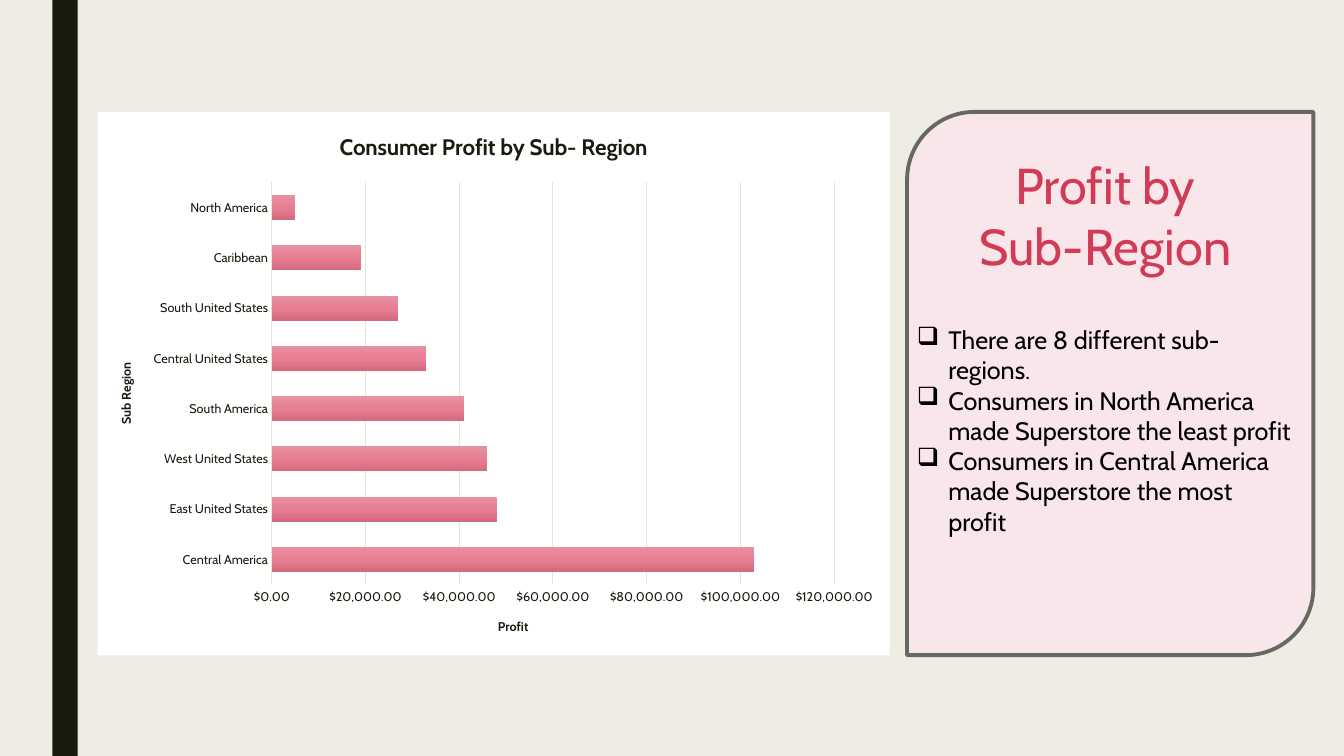
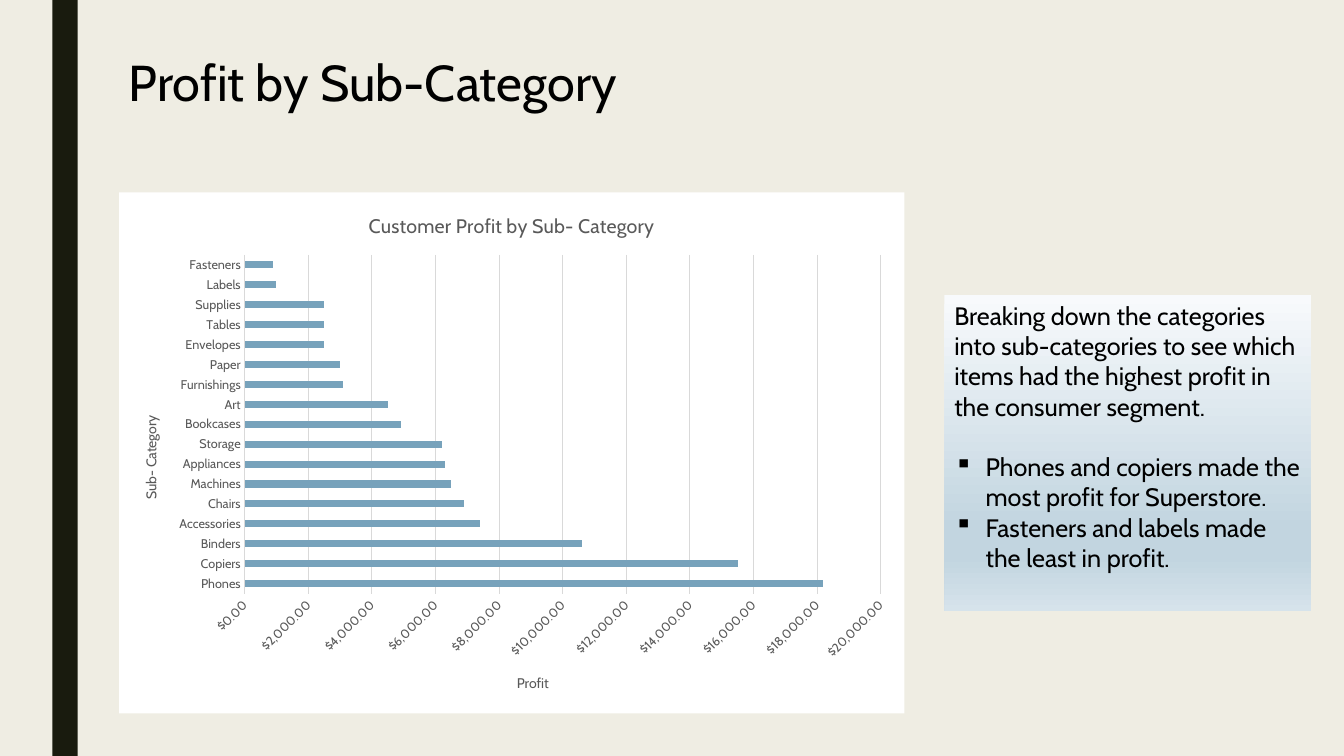
from lxml import etree
from pptx import Presentation
from pptx.chart.data import CategoryChartData
from pptx.dml.color import RGBColor
from pptx.enum.chart import XL_CHART_TYPE, XL_TICK_MARK
from pptx.enum.shapes import MSO_SHAPE
from pptx.enum.text import MSO_ANCHOR, PP_ALIGN
from pptx.oxml import parse_xml
from pptx.oxml.ns import nsdecls, qn
from pptx.util import Cm, Pt

# Shared style
FONT = "Cabin"
BACKGROUND = RGBColor(0xEF, 0xED, 0xE3)
DARK = RGBColor(0x19, 0x1B, 0x0E)
BLACK = RGBColor(0x00, 0x00, 0x00)
WHITE = RGBColor(0xFF, 0xFF, 0xFF)
ROSE = RGBColor(0xD1, 0x3B, 0x56)
PALE_ROSE = RGBColor(0xF9, 0xE6, 0xEA)
CARD_LINE = RGBColor(0x68, 0x68, 0x63)
SAND = RGBColor(0xE4, 0xE7, 0xD1)
GREY = RGBColor(0x59, 0x59, 0x59)
LIGHT_GREY = RGBColor(0xD9, 0xD9, 0xD9)
BLUE = RGBColor(0x77, 0xA2, 0xBB)
ROSE_STOPS = [(0, RGBColor(0xE6, 0x92, 0xA1)), (50, RGBColor(0xE7, 0x7E, 0x91)),
              (100, RGBColor(0xD3, 0x6A, 0x7D))]
BLUE_STOPS = [(0, RGBColor(0xF8, 0xFA, 0xFC)), (74, RGBColor(0xC2, 0xD5, 0xE0)),
              (83, RGBColor(0xC2, 0xD5, 0xE0)), (100, RGBColor(0xD6, 0xE3, 0xEB))]
TITLE_SIZE, BODY_SIZE, AXIS_SIZE = 36, 18, 9
BULLET_INDENT = Cm(0.79)

# Chart values, bottom bar first
REGION_PROFIT = {
    "Central America": 103000, "East United States": 48000,
    "West United States": 46000, "South America": 41000,
    "Central United States": 33000, "South United States": 27000,
    "Caribbean": 19000, "North America": 5000,
}
CATEGORY_PROFIT = {
    "Phones": 18200, "Copiers": 15500, "Binders": 10600, "Accessories": 7400,
    "Chairs": 6900, "Machines": 6500, "Appliances": 6300, "Storage": 6200,
    "Bookcases": 4900, "Art": 4500, "Furnishings": 3100, "Paper": 3000,
    "Envelopes": 2500, "Tables": 2500, "Supplies": 2500, "Labels": 1000,
    "Fasteners": 900,
}


def style_font(font, size, color, bold=False):
    font.name, font.size, font.bold = FONT, Pt(size), bold
    font.color.rgb = color


def set_fill(fill, element, paint):
    """Fill with one colour, or top to bottom with (percent, colour) stops."""
    if isinstance(paint, RGBColor):
        fill.solid()
        fill.fore_color.rgb = paint
        return
    fill.gradient()
    fill.gradient_angle = 270
    stops = element.find(".//" + qn("a:gsLst"))
    for old in list(stops):
        stops.remove(old)
    for percent, color in paint:
        stop = etree.SubElement(stops, qn("a:gs"), pos=str(percent * 1000))
        etree.SubElement(stop, qn("a:srgbClr"), val=str(color))


def add_slide(prs):
    s = prs.slides.add_slide(prs.slide_layouts[6])
    add_panel(s, MSO_SHAPE.RECTANGLE, (1.32, 0, 0.64, 19.05), DARK)
    return s


def add_panel(s, kind, box, paint, line=None):
    sp = s.shapes.add_shape(kind, *map(Cm, box))
    sp.shadow.inherit = False
    set_fill(sp.fill, sp._element, paint)
    if line:
        sp.line.color.rgb, sp.line.width = line, Pt(2.75)
    else:
        sp.line.fill.background()
    return sp


def add_text(s, box, paragraphs, **style):
    sp = s.shapes.add_textbox(*map(Cm, box))
    write_text(sp.text_frame, paragraphs, **style)


def write_text(tf, paragraphs, size=BODY_SIZE, color=BLACK, align=PP_ALIGN.LEFT):
    tf.word_wrap = True
    tf.vertical_anchor = MSO_ANCHOR.TOP
    tf.text = "\n".join(paragraphs)
    for p in tf.paragraphs:
        p.alignment = align
        for r in p.runs:
            style_font(r.font, size, color)


def add_bullets(paragraphs, char):
    for p in paragraphs:
        pPr = p._p.get_or_add_pPr()
        pPr.set("marL", str(BULLET_INDENT))
        pPr.set("indent", str(-BULLET_INDENT))
        etree.SubElement(pPr, qn("a:buChar"), char=char)


def set_title(holder, text, size, color, bold):
    tf = holder.text_frame
    tf.text = text
    style_font(tf.paragraphs[0].runs[0].font, size, color, bold)


def place_plot(chart, box):
    """Fix the inner plot area, in fractions of the chart."""
    plot_area = chart._chartSpace.chart.plotArea
    for old in plot_area.findall(qn("c:layout")):
        plot_area.remove(old)
    layout = etree.Element(qn("c:layout"))
    manual = etree.SubElement(layout, qn("c:manualLayout"))
    settings = [("layoutTarget", "inner"), ("xMode", "edge"), ("yMode", "edge")]
    for tag, value in settings + list(zip("xywh", box)):
        etree.SubElement(manual, qn("c:" + tag), val=str(value))
    plot_area.insert(0, layout)


def add_bar_chart(s, box, plot_box, values, title, category_title, title_size,
                  axis_title_size, bold, text_color, line_color, paint, gap,
                  maximum, step):
    data = CategoryChartData()
    data.categories = list(values)
    data.add_series("Series 1", list(values.values()))
    chart = s.shapes.add_chart(XL_CHART_TYPE.BAR_CLUSTERED, *map(Cm, box), data).chart
    style_font(chart.font, 10, BLACK)
    chart.has_legend = False
    chart.has_title = True
    set_title(chart.chart_title, title, title_size, text_color, bold)
    chart.chart_title.include_in_layout = False

    # White chart area
    chart._chartSpace.chart.addnext(parse_xml(
        f'<c:spPr {nsdecls("c", "a")}><a:solidFill><a:srgbClr val="{WHITE}"/>'
        '</a:solidFill><a:ln><a:noFill/></a:ln></c:spPr>'))
    place_plot(chart, plot_box)

    # Bars
    plot = chart.plots[0]
    plot.gap_width = gap
    plot.vary_by_categories = False
    series = plot.series[0]
    series.invert_if_negative = False
    set_fill(series.format.fill, series._element, paint)

    # Axes
    category, value = chart.category_axis, chart.value_axis
    for axis, name in ((category, category_title), (value, "Profit")):
        axis.major_tick_mark = axis.minor_tick_mark = XL_TICK_MARK.NONE
        style_font(axis.tick_labels.font, AXIS_SIZE, text_color)
        set_title(axis.axis_title, name, axis_title_size, text_color, bold)
    category.has_major_gridlines = False
    value.has_major_gridlines = True
    for line in (category.format.line, value.major_gridlines.format.line):
        line.color.rgb, line.width = line_color, Pt(0.75)
    value.format.line.fill.background()
    value.minimum_scale, value.maximum_scale, value.major_unit = 0, maximum, step
    value.tick_labels.number_format = '"$"#,##0.00'
    value.tick_labels.number_format_is_linked = False
    return chart


def build_region_slide(prs):
    s = add_slide(prs)
    add_panel(s, MSO_SHAPE.ROUND_2_DIAG_RECTANGLE, (22.86, 2.82, 10.24, 13.69),
              PALE_ROSE, CARD_LINE)
    add_bar_chart(
        s, (2.46, 2.82, 19.96, 13.69), (0.22, 0.13, 0.71, 0.74), REGION_PROFIT,
        "Consumer Profit by Sub- Region", "Sub Region", title_size=16,
        axis_title_size=9, bold=True, text_color=DARK, line_color=SAND,
        paint=ROSE_STOPS, gap=100, maximum=120000, step=20000)
    sp = s.shapes.add_textbox(Cm(22.86), Cm(8.05), Cm(9.98), Cm(5.64))
    write_text(sp.text_frame, [
        "There are 8 different sub- regions.",
        "Consumers in North America made Superstore the least profit",
        "Consumers in Central America made Superstore the most profit"])
    add_bullets(sp.text_frame.paragraphs, "❑")
    add_text(s, (23.98, 3.76, 7.75, 3.33), ["Profit by Sub-Region"],
             size=TITLE_SIZE, color=ROSE, align=PP_ALIGN.CENTER)


def build_category_slide(prs):
    s = add_slide(prs)
    add_text(s, (3, 1.17, 15.37, 1.8), ["Profit by Sub-Category"], size=TITLE_SIZE)
    chart = add_bar_chart(
        s, (3, 4.85, 19.79, 13.13), (0.16, 0.12, 0.81, 0.65), CATEGORY_PROFIT,
        "Customer Profit by Sub- Category", "Sub- Category", title_size=14,
        axis_title_size=10, bold=False, text_color=GREY, line_color=LIGHT_GREY,
        paint=BLUE, gap=182, maximum=20000, step=2000)
    # Slanted value labels
    chart.value_axis._element.txPr.find(qn("a:bodyPr")).set("rot", "-2700000")

    sp = add_panel(s, MSO_SHAPE.RECTANGLE, (23.8, 7.44, 9.25, 7.95), BLUE_STOPS)
    write_text(sp.text_frame, [
        "Breaking down the categories into sub-categories to see which items "
        "had the highest profit in the consumer segment.",
        "Phones and copiers made the most profit for Superstore.",
        "Fasteners and labels made the least in profit."])
    bullets = sp.text_frame.paragraphs[1:]
    bullets[0].space_before = Pt(21.6)
    add_bullets(bullets, "▪")


def main():
    prs = Presentation()
    prs.slide_width, prs.slide_height = Cm(33.87), Cm(19.05)
    set_fill(prs.slide_master.background.fill, None, BACKGROUND)
    build_region_slide(prs)
    build_category_slide(prs)
    prs.save("out.pptx")


if __name__ == "__main__":
    main()
